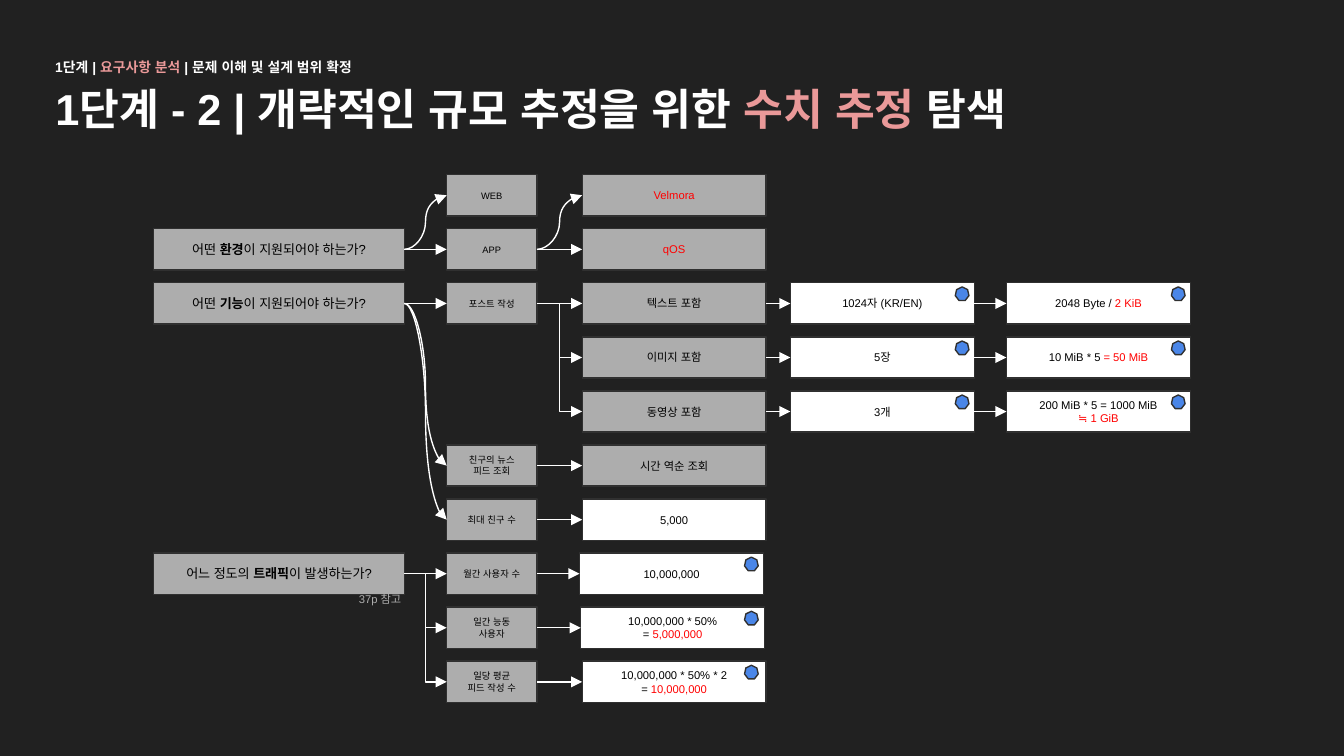
import pptx
import pptx.util
import pptx.dml.color
import pptx.enum.lang
import pptx.enum.shapes
import pptx.enum.text
import pptx.oxml
import pptx.oxml.ns

Pt = pptx.util.Pt
SHAPE = pptx.enum.shapes.MSO_SHAPE
CONNECTOR = pptx.enum.shapes.MSO_CONNECTOR
ANCHOR = pptx.enum.text.MSO_ANCHOR
ALIGN = pptx.enum.text.PP_ALIGN
KOREAN = pptx.enum.lang.MSO_LANGUAGE_ID.KOREAN

COLORS = {"bg": "212121", "white": "FFFFFF", "black": "000000", "gray": "ADADAD",
          "border": "303030", "red": "FF0000", "pink": "EA9999", "badge": "4A86E8"}

# [..] marks emphasis, \n a new paragraph, \v a line break.
TITLE = "1단계 - 2 | 개략적인 규모 추정을 위한 [수치 추정] 탐색"
BREADCRUMB = "1단계 | [요구사항 분석] | 문제 이해 및 설계 범위 확정"
PAGE_NOTE = "37p 참고"

# column: left, width, font size, distance of the badge from the right edge
COLUMNS = {
    "question": (82.4, 134.2, 7, 0),
    "topic": (239.3, 48.4, 5, 0),
    "detail": (311.9, 98.5, 6, 11.5),
    "amount": (423.4, 98.5, 6, 10.1),
    "size": (539.2, 98.5, 6, 10.1),
}
ROW_TOP, ROW_PITCH, BOX_HEIGHT = 93.6, 28.96, 22.1
BADGE_SIZE, BADGE_DROP = 7.3, 2.2
NUDGES = {("detail", 7): -1.4, ("detail", 8): -0.8}

# column: {row: text}
GRAY_BOXES = {
    "question": {1: "어떤 [환경]이 지원되어야 하는가?", 2: "어떤 [기능]이 지원되어야 하는가?",
                 7: "어느 정도의 [트래픽]이 발생하는가?"},
    "topic": {0: "WEB", 1: "APP", 2: "포스트 작성", 5: "친구의 뉴스 피드 조회", 6: "최대 친구 수",
              7: "월간 사용자 수", 8: "일간 능동 사용자", 9: "일당 평균\n피드 작성 수"},
    "detail": {0: "[Velmora]", 1: "[qOS]", 2: "텍스트 포함", 3: "이미지 포함",
               4: "동영상 포함", 5: "시간 역순 조회"},
}
WHITE_BOXES = {
    "detail": {6: "5,000", 7: "10,000,000", 8: "10,000,000 * 50%\v= [5,000,000]",
               9: "10,000,000 * 50% * 2\v= [10,000,000]"},
    "amount": {2: "1024자 (KR/EN)", 3: "5장", 4: "3개"},
    "size": {2: "2048 Byte / [2 KiB]", 3: "10 MiB * 5 [= 50 MiB]",
             4: "200 MiB * 5 = 1000 MiB\v[≒ 1 GiB]"},
}
BADGES = [(c, r) for c in ("amount", "size") for r in (2, 3, 4)]
BADGES += [("detail", r) for r in (7, 8, 9)]

# (from column, from row, to column, rows reached)
CURVES = [("question", 1, "topic", (0, 1)), ("question", 2, "topic", (2, 5, 6)),
          ("topic", 1, "detail", (0, 1)), ("topic", 5, "detail", (5,))]
ELBOWS = [("topic", 2, "detail", (2, 3, 4)), ("question", 7, "topic", (7, 8, 9))]
ELBOWS += [("topic", r, "detail", (r,)) for r in (6, 7, 8, 9)]
ELBOWS += [(a, r, b, (r,)) for a, b in (("detail", "amount"), ("amount", "size"))
           for r in (2, 3, 4)]


def rgb(name):
    return pptx.dml.color.RGBColor.from_string(COLORS[name])


def write(sp, text, size, color, accent=None, bold=False, align=ALIGN.LEFT, anchor=ANCHOR.TOP):
    """Fill a text frame; emphasis takes the accent colour, or bold without one."""
    tf = sp.text_frame
    tf.word_wrap = True
    tf.auto_size = pptx.enum.text.MSO_AUTO_SIZE.NONE
    tf.vertical_anchor = anchor
    tf.margin_left = tf.margin_right = tf.margin_top = tf.margin_bottom = Pt(7.2)
    for i, line in enumerate(text.split("\n")):
        p = tf.add_paragraph() if i else tf.paragraphs[0]
        p.alignment = align
        p.font.name, p.font.size, p.font.bold = "Arial", Pt(size), bold
        p.font.color.rgb = rgb(color)
        for j, piece in enumerate(line.replace("]", "[").split("[")):
            for k, part in enumerate(piece.split("\v")):
                if k:
                    p.add_line_break()
                if not part:
                    continue
                r = p.add_run()
                r.text = part
                r.font.language_id = KOREAN
                if j % 2 and accent:
                    r.font.color.rgb = rgb(accent)
                elif j % 2:
                    r.font.bold = True


def add_shape(slide, kind, left, top, width, height, fill):
    sp = slide.shapes.add_shape(kind, Pt(left), Pt(top), Pt(width), Pt(height))
    sp.shadow.inherit = False
    sp.fill.solid()
    sp.fill.fore_color.rgb = rgb(fill)
    sp.line.color.rgb = rgb("border")
    sp.line.width = Pt(0.75)
    return sp


def add_box(slide, column, row, text, fill):
    left, width, size, _ = COLUMNS[column]
    left += NUDGES.get((column, row), 0)
    sp = add_shape(slide, SHAPE.RECTANGLE, left, ROW_TOP + row * ROW_PITCH,
                   width, BOX_HEIGHT, fill)
    write(sp, text, size, "black", None if column == "question" else "red",
          align=ALIGN.CENTER, anchor=ANCHOR.MIDDLE)
    return sp


def add_arrow(slide, kind, start, end):
    c = slide.shapes.add_connector(kind, 0, 0, 0, 0)
    c.begin_connect(start, 3)
    c.end_connect(end, 1)
    c.line.color.rgb = rgb("white")
    c.line.width = Pt(0.75)
    ns = pptx.oxml.ns.nsdecls("a")
    sppr = c._element.spPr
    ln = sppr.find(pptx.oxml.ns.qn("a:ln"))
    ln.append(pptx.oxml.parse_xml(f'<a:tailEnd {ns} type="triangle"/>'))
    sppr.append(pptx.oxml.parse_xml(f"<a:effectLst {ns}/>"))


def add_badge(slide, column, row):
    left, width, _, inset = COLUMNS[column]
    add_shape(slide, SHAPE.HEPTAGON, left + width - inset,
              ROW_TOP + row * ROW_PITCH + BADGE_DROP, BADGE_SIZE, BADGE_SIZE, "badge")


def main():
    prs = pptx.Presentation()
    prs.slide_width, prs.slide_height = Pt(720), Pt(405)
    slide = prs.slides.add_slide(prs.slide_layouts[5])
    slide.background.fill.solid()
    slide.background.fill.fore_color.rgb = rgb("bg")

    title = slide.shapes.title
    title.left, title.top, title.width, title.height = Pt(22.5), Pt(36.7), Pt(673), Pt(45.4)
    write(title, TITLE, 23.2, "white", "pink", bold=True)
    breadcrumb = slide.shapes.add_textbox(Pt(22.5), Pt(24.5), Pt(673), Pt(22.3))
    write(breadcrumb, BREADCRUMB, 7.4, "white", "pink", bold=True)

    boxes = {}
    for fill, columns in (("gray", GRAY_BOXES), ("white", WHITE_BOXES)):
        for column, rows in columns.items():
            for row, text in rows.items():
                boxes[column, row] = add_box(slide, column, row, text, fill)

    for kind, links in ((CONNECTOR.CURVE, CURVES), (CONNECTOR.ELBOW, ELBOWS)):
        for column, row, target, rows in links:
            for r in rows:
                add_arrow(slide, kind, boxes[column, row], boxes[target, r])

    for column, row in BADGES:
        add_badge(slide, column, row)

    note = slide.shapes.add_textbox(Pt(185.2), Pt(310), Pt(49), Pt(21.6))
    write(note, PAGE_NOTE, 6, "gray")
    prs.save("out.pptx")


if __name__ == "__main__":
    main()
